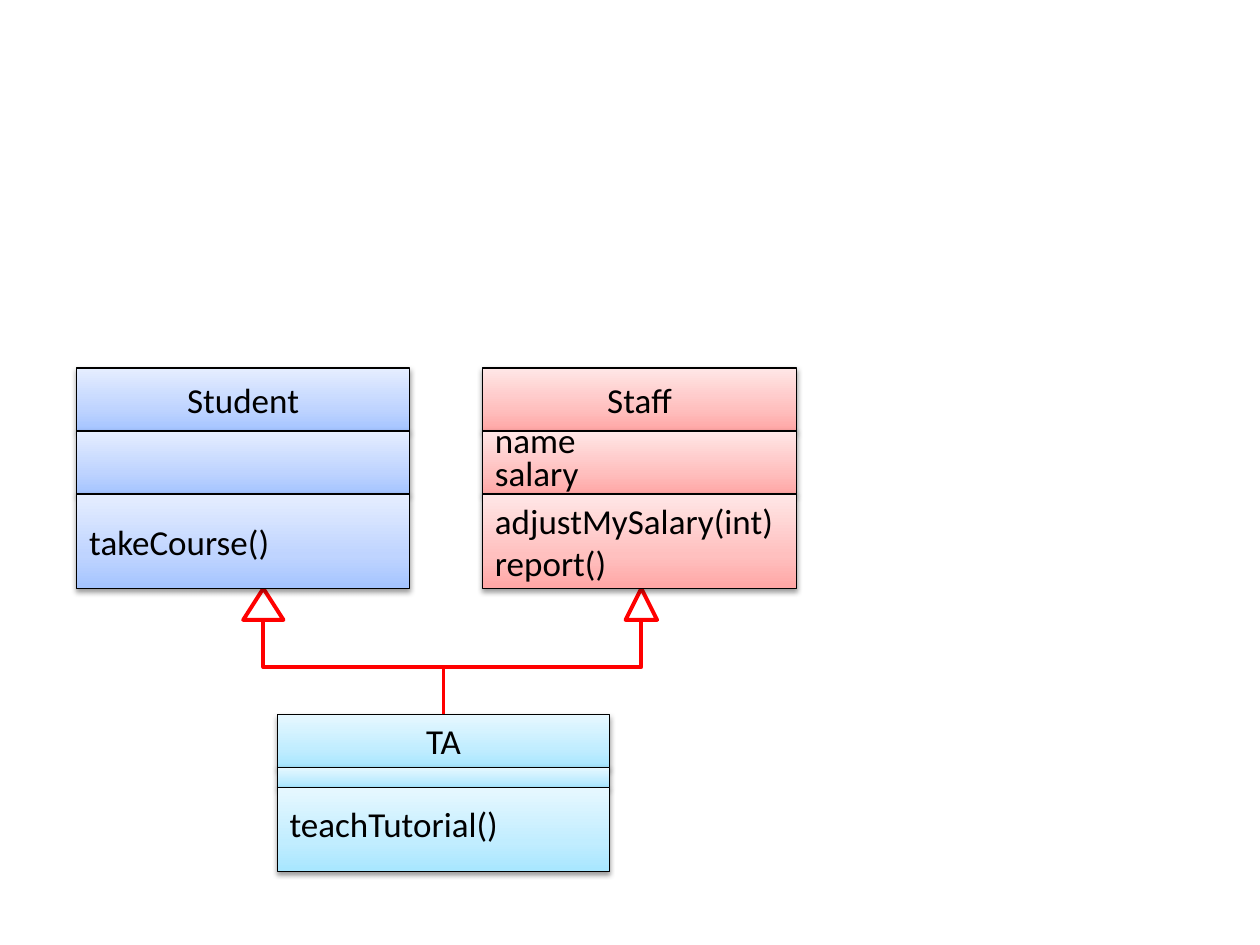
from dataclasses import dataclass

from lxml.etree import SubElement
from pptx import Presentation
from pptx.dml.color import RGBColor
from pptx.enum.shapes import MSO_CONNECTOR, MSO_SHAPE
from pptx.enum.text import MSO_ANCHOR, PP_ALIGN
from pptx.oxml.ns import qn
from pptx.util import Inches, Pt


@dataclass(frozen=True)
class Theme:
    font: str = "Calibri"
    size: int = 20
    ink: str = "000000"
    arrow: str = "FF0000"
    paper: str = "FFFFFF"
    border: float = 0.75
    arrow_width: float = 2.25
    blue: tuple = ("A4C4FF", "BFD4FF", "E6EEFF")
    red: tuple = ("FFA6A5", "FFC0BF", "FFE7E7")
    cyan: tuple = ("A7E6FF", "C1EDFF", "E7F8FF")
    stops: tuple = (0, 35, 100)


THEME = Theme()


def set_line(line, color, width):
    line.color.rgb = RGBColor.from_string(color)
    line.width = Pt(width)


def fill_gradient(box, colors):
    box.fill.gradient()
    box.fill.gradient_angle = 90
    stop_list = box.element.spPr.find(qn("a:gradFill")).find(qn("a:gsLst"))
    for stop in list(stop_list):
        stop_list.remove(stop)
    for position, color in zip(THEME.stops, colors):
        stop = SubElement(stop_list, qn("a:gs"), pos=str(position * 1000))
        SubElement(stop, qn("a:srgbClr"), val=color)


def add_shadow(box):
    box.shadow.inherit = False
    effects = box.element.spPr.find(qn("a:effectLst"))
    shadow = SubElement(effects, qn("a:outerShdw"), blurRad=str(Pt(3.1)),
                        dist=str(Pt(1.6)), dir="5400000", rotWithShape="0")
    color = SubElement(shadow, qn("a:srgbClr"), val=THEME.ink)
    SubElement(color, qn("a:alpha"), val="38000")


def write_lines(box, lines, align, tight):
    frame = box.text_frame
    frame.word_wrap = True
    frame.vertical_anchor = MSO_ANCHOR.MIDDLE
    for index, text in enumerate(lines):
        para = frame.paragraphs[0] if index == 0 else frame.add_paragraph()
        para.alignment = align
        if tight:
            para.line_spacing = 0.6
            if index:
                para.space_before = Pt(4)
        span = para.add_run()
        span.text = text
        span.font.name = THEME.font
        span.font.size = Pt(THEME.size)
        span.font.color.rgb = RGBColor.from_string(THEME.ink)


def add_class(page, left, top, width, heights, colors, sections, tight=()):
    for index, (height, lines) in enumerate(zip(heights, sections)):
        box = page.shapes.add_shape(MSO_SHAPE.RECTANGLE, Inches(left), Inches(top),
                                    Inches(width), Inches(height))
        fill_gradient(box, colors)
        set_line(box.line, THEME.ink, THEME.border)
        add_shadow(box)
        align = PP_ALIGN.LEFT if index else PP_ALIGN.CENTER
        write_lines(box, lines, align, index in tight)
        top += height


def add_arrowhead(page, center, top, width, height):
    head = page.shapes.add_shape(MSO_SHAPE.FLOWCHART_EXTRACT, Inches(center - width / 2),
                                 Inches(top), Inches(width), Inches(height))
    head.fill.solid()
    head.fill.fore_color.rgb = RGBColor.from_string(THEME.paper)
    set_line(head.line, THEME.arrow, THEME.arrow_width)
    head.shadow.inherit = False


def add_upward_elbow(page, start_x, start_y, end_x, end_y):
    center_x, center_y = (start_x + end_x) / 2, (start_y + end_y) / 2
    half_rise, half_run = (start_y - end_y) / 2, (end_x - start_x) / 2
    elbow = page.shapes.add_connector(
        MSO_CONNECTOR.ELBOW,
        Inches(center_x - half_rise), Inches(center_y - half_run),
        Inches(center_x + half_rise), Inches(center_y + half_run))
    properties = elbow.element.spPr
    properties.find(qn("a:xfrm")).set("rot", str(270 * 60000))
    set_line(elbow.line, THEME.arrow, THEME.arrow_width)
    SubElement(properties, qn("a:effectLst"))


def main():
    deck = Presentation()
    deck.slide_width, deck.slide_height = Inches(10), Inches(7.5)
    page = deck.slides.add_slide(deck.slide_layouts[6])

    parent_top, parent_heights = 2.92, (0.5, 0.5, 0.75)
    parent_bottom = parent_top + sum(parent_heights)
    child_left, child_top, child_width = 2.2, 5.67, 2.64
    head_height = 0.25

    add_class(page, child_left, child_top, child_width, (0.42, 0.16, 0.67), THEME.cyan,
              (["TA"], [], ["teachTutorial()"]), tight=(2,))
    for center, head_width in ((2.09, 0.32), (5.09, 0.25)):
        add_arrowhead(page, center, parent_bottom, head_width, head_height)
        add_upward_elbow(page, child_left + child_width / 2, child_top,
                         center, parent_bottom + head_height)
    add_class(page, 3.83, parent_top, 2.49, parent_heights, THEME.red,
              (["Staff"], ["name", "salary"], ["adjustMySalary(int)", "report()"]),
              tight=(1,))
    add_class(page, 0.61, parent_top, 2.64, parent_heights, THEME.blue,
              (["Student"], [], ["takeCourse()"]))

    deck.save("out.pptx")


if __name__ == "__main__":
    main()
